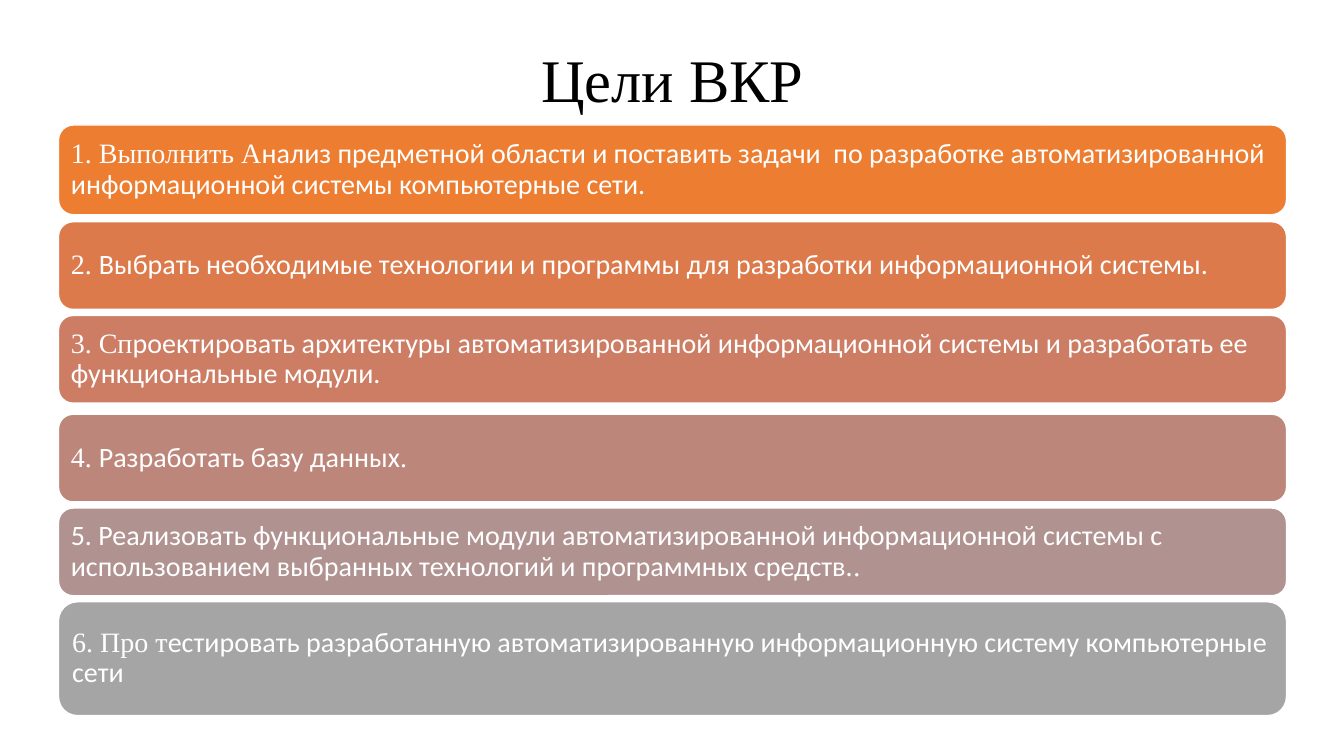
from pptx import Presentation
from pptx.dml.color import RGBColor
from pptx.enum import shapes, text
from pptx.util import Inches, Pt

HEX = {"white": "FFFFFF", "black": "000000"}
SERIF, SANS = "Times New Roman", "Calibri"

# top, height, fill, runs of (font, words)
GOALS = [
    (1.24, 0.89, "ED7D31", [
        (SERIF, "1. Выполнить А"),
        (SANS, "нализ предметной области и поставить задачи  по разработке "
               "автоматизированной информационной системы компьютерные сети.")]),
    (2.2, 0.87, "DC7A4B", [
        (SERIF, "2. "),
        (SANS, "Выбрать необходимые технологии и программы для разработки "
               "информационной системы.")]),
    (3.13, 0.87, "CC7D64", [
        (SERIF, "3. Сп"),
        (SANS, "роектировать архитектуры автоматизированной информационной "
               "системы и разработать ее функциональные модули.")]),
    (4.11, 0.87, "BD867B", [
        (SERIF, "4. "),
        (SANS, "Разработать базу данных"),
        (SERIF, ".")]),
    (5.04, 0.87, "B09391", [
        (SANS, "5. Реализовать функциональные модули автоматизированной "
               "информационной системы с использованием выбранных технологий "
               "и программных средств."),
        (SERIF, ".")]),
    (5.97, 1.13, "A5A5A5", [
        (SERIF, "6. Про т"),
        (SANS, "естировать разработанную автоматизированную информационную "
               "систему компьютерные сети")]),
]


def paint(code):
    return RGBColor.from_string(code)


def write(shape, runs, size, color, align, anchor, inset):
    """Fill the shape with one paragraph made of (font, words) runs."""
    frame = shape.text_frame
    frame.word_wrap = True
    frame.auto_size = text.MSO_AUTO_SIZE.NONE
    frame.vertical_anchor = anchor
    frame.margin_left = frame.margin_right = Inches(inset)
    frame.margin_top = frame.margin_bottom = Inches(inset)
    para = frame.paragraphs[0]
    para.alignment = align
    para.line_spacing = 0.9
    for face, words in runs:
        run = para.add_run()
        run.text = words
        run.font.name = face
        run.font.size = Pt(size)
        run.font.color.rgb = paint(color)


def head(slide, words):
    title = slide.shapes.title
    title.left, title.top = Inches(0.92), Inches(0.4)
    title.width, title.height = Inches(11.5), Inches(1.45)
    write(title, [(SERIF, words)], size=43.2, color=HEX["black"],
          align=text.PP_ALIGN.CENTER, anchor=text.MSO_ANCHOR.TOP, inset=0.1)


def goal(slide, top, height, fill, runs):
    bar = slide.shapes.add_shape(
        shapes.MSO_SHAPE.ROUNDED_RECTANGLE,
        Inches(0.58), Inches(top), Inches(12.18), Inches(height))
    bar.shadow.inherit = False
    bar.fill.solid()
    bar.fill.fore_color.rgb = paint(fill)
    bar.line.color.rgb = paint(HEX["white"])
    bar.line.width = Pt(1)
    write(bar, runs, size=20, color=HEX["white"],
          align=text.PP_ALIGN.LEFT, anchor=text.MSO_ANCHOR.MIDDLE, inset=0.08)


def main():
    deck = Presentation()
    deck.slide_width, deck.slide_height = Inches(13.33), Inches(7.5)
    slide = deck.slides.add_slide(deck.slide_layouts[5])
    head(slide, "Цели ВКР")
    for item in GOALS:
        goal(slide, *item)
    deck.save("out.pptx")


if __name__ == "__main__":
    main()
